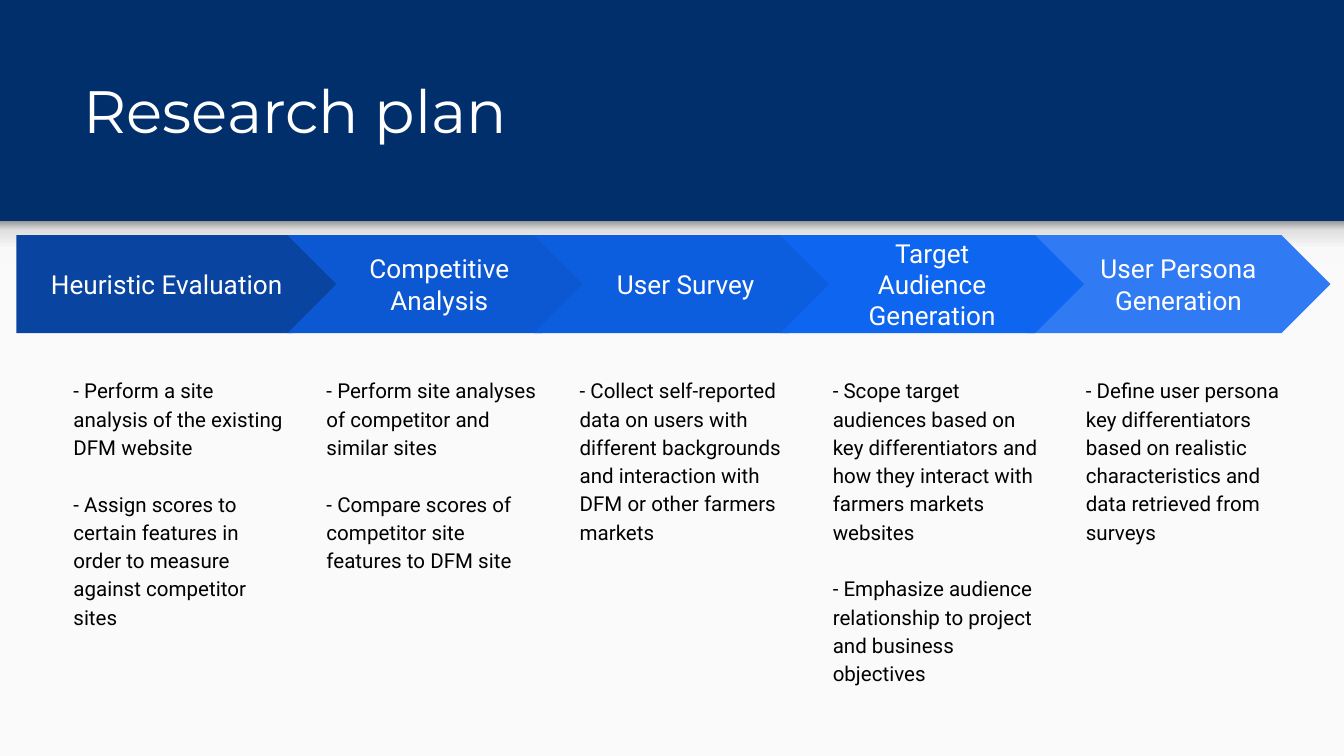
from dataclasses import dataclass

from lxml import etree
from pptx import Presentation
from pptx.dml.color import RGBColor
from pptx.enum.shapes import MSO_SHAPE
from pptx.enum.text import MSO_ANCHOR, MSO_AUTO_SIZE, PP_ALIGN
from pptx.oxml.ns import qn
from pptx.util import Pt

RECTANGLE, PENTAGON, CHEVRON = MSO_SHAPE.RECTANGLE, MSO_SHAPE.PENTAGON, MSO_SHAPE.CHEVRON
TOP, MIDDLE, BOTTOM = MSO_ANCHOR.TOP, MSO_ANCHOR.MIDDLE, MSO_ANCHOR.BOTTOM
LEFT, CENTER = PP_ALIGN.LEFT, PP_ALIGN.CENTER

NAVY = RGBColor(0x00, 0x2F, 0x6C)
PAPER = RGBColor(0xFA, 0xFA, 0xFA)
WHITE = RGBColor(0xFF, 0xFF, 0xFF)
BLACK = RGBColor(0x00, 0x00, 0x00)
SHADOW_STOPS = (
    (0, RGBColor(0xF9, 0xF9, 0xF9)),
    (36, RGBColor(0xF9, 0xF9, 0xF9)),
    (80, RGBColor(0xDE, 0xDE, 0xDE)),
    (100, RGBColor(0x99, 0x99, 0x99)),
)

SLIDE_WIDTH, SLIDE_HEIGHT = 720, 405
PANEL_TOP = 132.5
ARROW_TOP, ARROW_HEIGHT = 126, 52.5
FIRST_LEFT, FIRST_WIDTH = 8.75, 174.25
CHEVRON_LEFT, CHEVRON_WIDTH, CHEVRON_PITCH = 154, 162.75, 132
NOTE_LEFT, NOTE_TOP, NOTE_PITCH = 32.25, 193.5, 135.6
NOTE_WIDTH, NOTE_HEIGHT = 128.25, 185
INSET = 7.2


@dataclass
class Step:
    column: int
    heading: str
    color: RGBColor
    notes: tuple[str, ...]


# Back to front: the fourth arrow lies over the fifth
STEPS = (
    Step(0, "Heuristic Evaluation", RGBColor(0x09, 0x44, 0xA1), (
        "- Perform a site analysis of the existing DFM website",
        "- Assign scores to certain features in order to measure against competitor sites")),
    Step(1, "Competitive Analysis", RGBColor(0x0C, 0x58, 0xD3), (
        "- Perform site analyses of competitor and similar sites",
        "- Compare scores of competitor site features to DFM site")),
    Step(2, "User Survey", RGBColor(0x0D, 0x5D, 0xDF), (
        "- Collect self-reported data on users with different backgrounds "
        "and interaction with DFM or other farmers markets",)),
    Step(4, "User Persona Generation", RGBColor(0x30, 0x7B, 0xF3), (
        "- Define user persona key differentiators based on realistic "
        "characteristics and data retrieved from surveys",)),
    Step(3, "Target Audience Generation", RGBColor(0x0E, 0x65, 0xF0), (
        "- Scope target audiences based on key differentiators and how they "
        "interact with farmers markets websites",
        "- Emphasize audience relationship to project and business objectives")),
)


def add_block(page, kind, left: float, top: float, width: float, height: float,
              color: RGBColor):
    block = page.shapes.add_shape(kind, Pt(left), Pt(top), Pt(width), Pt(height))
    block.shadow.inherit = False
    block.fill.solid()
    block.fill.fore_color.rgb = color
    block.line.fill.background()
    return block


def write(shape, paragraphs: tuple[str, ...], font: str, size: float,
          color: RGBColor, align, anchor) -> None:
    frame = shape.text_frame
    frame.word_wrap = True
    frame.auto_size = MSO_AUTO_SIZE.NONE
    frame.vertical_anchor = anchor
    frame.margin_left = frame.margin_right = Pt(INSET)
    frame.margin_top = frame.margin_bottom = Pt(INSET)
    frame.text = "\n".join(paragraphs)
    for para in frame.paragraphs:
        para.alignment = align
        for span in para.runs:
            span.font.name = font
            span.font.size = Pt(size)
            span.font.color.rgb = color


def add_panel(page) -> None:
    add_block(page, RECTANGLE, 0, PANEL_TOP, SLIDE_WIDTH, SLIDE_HEIGHT - PANEL_TOP, PAPER)
    # Soft edge under the header, darkest at its top
    edge = add_block(page, RECTANGLE, 0, 118.5, SLIDE_WIDTH, 23.25, PAPER)
    edge.fill.gradient()
    edge.fill.gradient_angle = 90
    stops = edge.element.spPr.find(qn("a:gradFill")).find(qn("a:gsLst"))
    for old_stop in list(stops):
        stops.remove(old_stop)
    for percent, color in SHADOW_STOPS:
        stop = etree.SubElement(stops, qn("a:gs"), pos=str(percent * 1000))
        etree.SubElement(stop, qn("a:srgbClr"), val=str(color))


def add_step(page, step: Step) -> None:
    # Arrow with heading
    if step.column == 0:
        kind, left, width = PENTAGON, FIRST_LEFT, FIRST_WIDTH
    else:
        kind, width = CHEVRON, CHEVRON_WIDTH
        left = CHEVRON_LEFT + CHEVRON_PITCH * (step.column - 1)
    arrow = add_block(page, kind, left, ARROW_TOP, width, ARROW_HEIGHT, step.color)
    write(arrow, (step.heading,), "Roboto", 14, WHITE, CENTER, MIDDLE)

    # Notes below
    box = page.shapes.add_textbox(Pt(NOTE_LEFT + NOTE_PITCH * step.column), Pt(NOTE_TOP),
                                  Pt(NOTE_WIDTH), Pt(NOTE_HEIGHT))
    write(box, step.notes, "Roboto", 11, BLACK, LEFT, TOP)
    for index, para in enumerate(box.text_frame.paragraphs):
        para.line_spacing = 1.15
        if index:
            para.space_before = Pt(15.2)


def main() -> None:
    deck = Presentation()
    deck.slide_width, deck.slide_height = Pt(SLIDE_WIDTH), Pt(SLIDE_HEIGHT)
    page = deck.slides.add_slide(deck.slide_layouts[5])
    page.background.fill.solid()
    page.background.fill.fore_color.rgb = NAVY

    # Title
    title = page.shapes.title
    title.left, title.top, title.width, title.height = Pt(37.5), Pt(24.5), Pt(647), Pt(60.5)
    write(title, ("Research plan",), "Montserrat", 32, WHITE, LEFT, BOTTOM)

    add_panel(page)
    for step in STEPS:
        add_step(page, step)
    deck.save("out.pptx")


if __name__ == "__main__":
    main()
